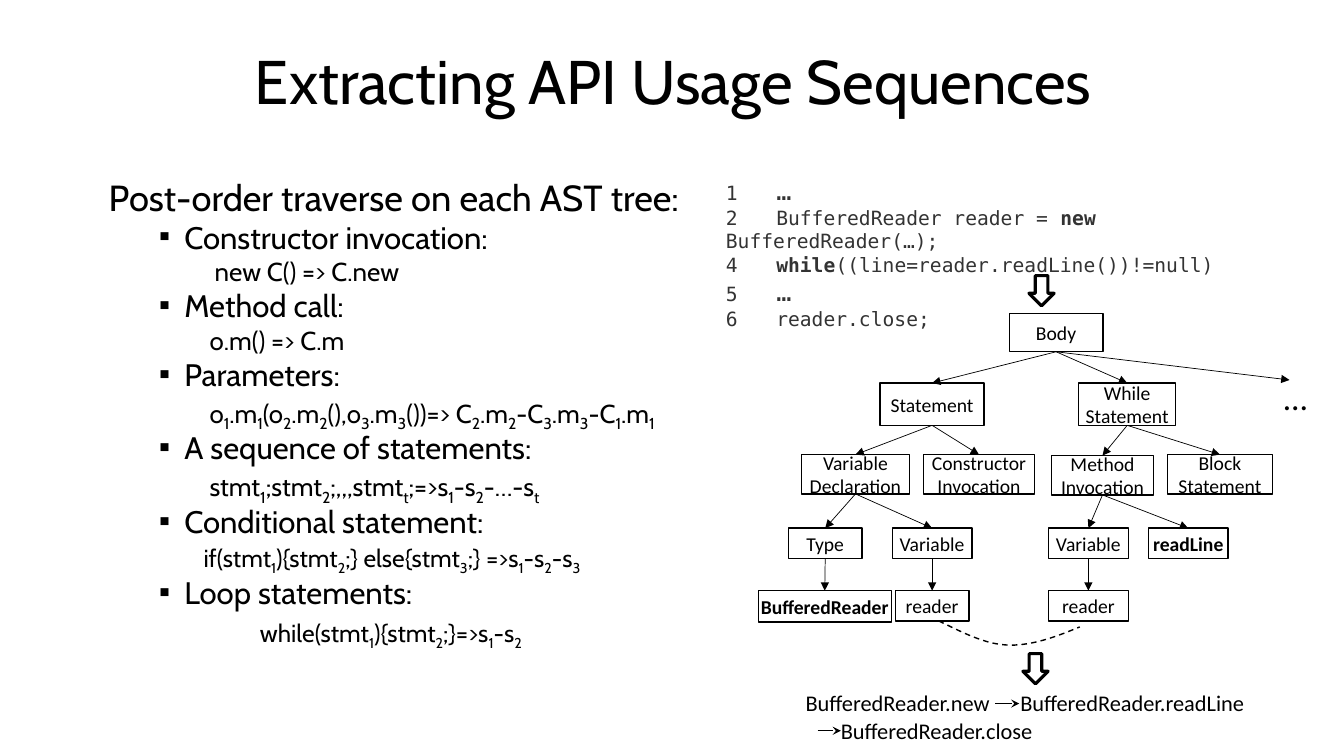
"""Build the slide on extracting API usage sequences from syntax trees."""
from dataclasses import dataclass

from pptx import Presentation
from pptx.dml.color import RGBColor
from pptx.enum.dml import MSO_LINE
from pptx.enum.shapes import MSO_CONNECTOR, MSO_SHAPE
from pptx.enum.text import MSO_ANCHOR, PP_ALIGN
from pptx.oxml.ns import qn
from pptx.oxml.xmlchemy import OxmlElement
from pptx.util import Pt

PX = 9144
RECT, ARROW = MSO_SHAPE.RECTANGLE, MSO_SHAPE.RIGHT_ARROW
STRAIGHT, DASH = MSO_CONNECTOR.STRAIGHT, MSO_LINE.DASH
TOP, MIDDLE = MSO_ANCHOR.TOP, MSO_ANCHOR.MIDDLE
LEFT, CENTER = PP_ALIGN.LEFT, PP_ALIGN.CENTER
TOP_SITE, BOTTOM_SITE = 0, 2


@dataclass(frozen=True)
class Theme:
    ink: RGBColor = RGBColor(0, 0, 0)
    code_ink: RGBColor = RGBColor(0x33, 0x33, 0x33)
    paper: RGBColor = RGBColor(255, 255, 255)
    head_font: str = "Cabin"
    node_font: str = "Calibri"
    code_font: str = "DejaVu Sans Mono"
    title: float = 44
    lead: float = 25.9
    topic: float = 22.2
    rule: float = 18.5
    rule_sub: float = 19.4
    small_rule: float = 17.6
    node: float = 14
    code_dots: float = 18
    result: float = 16
    dots: float = 24


T = Theme()


@dataclass(frozen=True)
class Run:
    text: str
    size: float
    bold: bool = False
    sub: bool = False


@dataclass(frozen=True)
class Para:
    runs: list[Run]
    level: int = 0
    margin: int = 0
    hang: int = 0
    before: float = 0
    spacing: float = 1.0
    bullet: str = ""
    tab: int = 0
    align: PP_ALIGN = LEFT


@dataclass(frozen=True)
class Node:
    key: str
    text: str
    box: tuple[int, int, int, int]
    parent: str = ""
    bold: bool = False


NODES = [
    Node("body", "Body", (1001, 311, 93, 38)),
    Node("stmt", "Statement", (873, 380, 103, 42), "body"),
    Node("while", "While Statement", (1070, 380, 96, 42), "body"),
    Node("decl", "Variable Declaration", (795, 451, 107, 39), "stmt"),
    Node("ctor", "Constructor Invocation", (916, 451, 110, 39), "stmt"),
    Node("call", "Method Invocation", (1043, 452, 101, 39), "while"),
    Node("block", "Block Statement", (1158, 451, 104, 39), "while"),
    Node("type", "Type", (782, 524, 73, 30), "decl"),
    Node("var1", "Variable", (885, 524, 79, 30), "decl"),
    Node("var2", "Variable", (1040, 524, 79, 30), "call"),
    Node("readLine", "readLine", (1139, 524, 79, 30), "call", True),
    Node("class", "BufferedReader", (752, 586, 132, 31), "type", True),
    Node("reader1", "reader", (888, 586, 73, 30), "var1"),
    Node("reader2", "reader", (1040, 586, 79, 30), "var2"),
]
RULES = [
    ("Constructor invocation:", "new C() => C.new", 105),
    ("Method call:", "o.m() => C.m", 100),
    ("Parameters:", "o_1.m_1(o_2.m_2(),o_3.m_3())=> C_2.m_2-C_3.m_3-C_1.m_1", 100),
    ("A sequence of statements:", "stmt_1;stmt_2;,,,stmt_t;=>s_1-s_2-…-s_t", 100),
]
SMALL_RULES = [
    ("Conditional statement:", "if(stmt_1){stmt_2;} else{stmt_3;} =>s_1-s_2-s_3", 94, 5),
    ("Loop statements:", "while(stmt_1){stmt_2;}=>s_1-s_2", 150, 8),
]
CODE = [
    [("1\t", False), ("…", False)],
    [("2\tBufferedReader reader = ", False), ("new ", True), ("BufferedReader(…);", False)],
    [("4\t", False), ("while", True), ("((line=reader.readLine())!=null)", False)],
    [("5\t", False), ("…", False)],
    [("6\treader.close;", False)],
]
CALLS = [
    ("BufferedReader.new", (799, 684, 185, 27)),
    ("BufferedReader.readLine", (1012, 684, 254, 27)),
    ("BufferedReader.close", (834, 711, 254, 27)),
]
CURVE = [
    [(931, 616), (954, 627), (976, 639), (999, 640)],
    [(999, 640), (1023, 641), (1047, 632), (1071, 622)],
]


def assign(target, values: dict) -> None:
    for name, value in values.items():
        setattr(target, name, value)


def add_child(parent, tag: str, **attrs: str):
    child = OxmlElement(tag)
    for name, value in attrs.items():
        child.set(name, value)
    parent.append(child)
    return child


def formula(text: str, size: float, sub_size: float) -> list[Run]:
    first, *rest = text.split("_")
    runs = [Run(first, size)]
    for part in rest:
        runs.append(Run(part[0], sub_size, sub=True))
        if part[1:]:
            runs.append(Run(part[1:], size))
    return runs


def fill_text(tf, paras: list[Para], font: str, ink: RGBColor,
              anchor: MSO_ANCHOR = TOP, inset: tuple[int, int] = (0, 0)) -> None:
    x, y = (n * PX for n in inset)
    assign(tf, dict(word_wrap=True, vertical_anchor=anchor, margin_left=x,
                    margin_right=x, margin_top=y, margin_bottom=y))
    for i, para in enumerate(paras):
        p = tf.add_paragraph() if i else tf.paragraphs[0]
        assign(p, dict(level=para.level, alignment=para.align,
                       line_spacing=para.spacing, space_before=Pt(para.before)))
        pPr = p._p.get_or_add_pPr()
        pPr.set("marL", str(para.margin * PX))
        pPr.set("indent", str(para.hang * PX))
        if para.bullet:
            add_child(pPr, "a:buFont", typeface=T.node_font)
            add_child(pPr, "a:buChar", char=para.bullet)
        else:
            add_child(pPr, "a:buNone")
        if para.tab:
            tabs = add_child(pPr, "a:tabLst")
            add_child(tabs, "a:tab", pos=str(para.tab * PX), algn="l")
        for run in para.runs:
            r = p.add_run()
            r.text = run.text
            assign(r.font, dict(name=font, size=Pt(run.size), bold=run.bold))
            r.font.color.rgb = ink
            if run.sub:
                r._r.get_or_add_rPr().set("baseline", "-25000")


def add_text(shapes, box: tuple[int, ...], paras: list[Para], font: str, ink: RGBColor,
             anchor: MSO_ANCHOR = TOP, inset: tuple[int, int] = (0, 0)) -> None:
    tb = shapes.add_textbox(*(n * PX for n in box))
    fill_text(tb.text_frame, paras, font, ink, anchor, inset)


def outline(sp, width: float) -> None:
    sp.shadow.inherit = False
    sp.line.color.rgb = T.ink
    sp.line.width = Pt(width)


def add_node(shapes, node: Node):
    sp = shapes.add_shape(RECT, *(n * PX for n in node.box))
    sp.fill.background()
    outline(sp, 1)
    para = Para([Run(node.text, T.node, node.bold)], align=CENTER)
    fill_text(sp.text_frame, [para], T.node_font, T.ink, MIDDLE)
    return sp


def add_arrow(shapes, ends: tuple[int, int, int, int], head: str):
    c = shapes.add_connector(STRAIGHT, *(n * PX for n in ends))
    c.line.color.rgb = T.ink
    c.line.width = Pt(0.5)
    spPr = c._element.spPr
    add_child(spPr.find(qn("a:ln")), "a:tailEnd", type=head)
    add_child(spPr, "a:effectLst")
    return c


def add_tree(shapes) -> None:
    boxes = {node.key: add_node(shapes, node) for node in NODES}
    for node in NODES:
        if node.parent:
            c = add_arrow(shapes, (0, 0, 0, 0), "triangle")
            c.begin_connect(boxes[node.parent], BOTTOM_SITE)
            c.end_connect(boxes[node.key], TOP_SITE)
    c = add_arrow(shapes, (1047, 349, 1279, 377), "triangle")
    c.begin_connect(boxes["body"], BOTTOM_SITE)
    dots = Para([Run("…", T.dots)], align=CENTER)
    add_text(shapes, (1265, 382, 40, 24), [dots], T.node_font, T.ink, MIDDLE)


def add_curve(shapes, steps: int = 10) -> None:
    points = []
    for curve in CURVE:
        for t in (i / steps for i in range(steps + 1)):
            weights = ((1 - t) ** 3, 3 * t * (1 - t) ** 2, 3 * t * t * (1 - t), t ** 3)
            points.append(tuple(sum(w * n * PX for w, n in zip(weights, axis))
                                for axis in zip(*curve)))
    builder = shapes.build_freeform(*points[0], scale=1.0)
    builder.add_line_segments(points[1:], close=False)
    sp = builder.convert_to_shape()
    sp.fill.background()
    outline(sp, 1)
    sp.line.dash_style = DASH


def add_down_arrow(shapes, x: int, y: int) -> None:
    sp = shapes.add_shape(ARROW, x * PX, y * PX, 30 * PX, 25 * PX)
    sp.rotation = 90
    sp.fill.solid()
    sp.fill.fore_color.rgb = T.paper
    outline(sp, 2.25)


def rule_paras() -> list[Para]:
    paras = [Para([Run("Post-order traverse on each AST tree:", T.lead)], before=10, spacing=0.8)]
    rows = [(topic, formula(text, T.rule, T.rule_sub), 2, margin, 5)
            for topic, text, margin in RULES]
    rows += [(topic, formula(text, T.small_rule, T.small_rule), 1, margin, before)
             for topic, text, margin, before in SMALL_RULES]
    for topic, runs, level, margin, before in rows:
        paras.append(Para([Run(topic, T.topic)], 1, 75, -25, 5, 0.8, "▪"))
        paras.append(Para(runs, level, margin, 0, before, 0.8))
    return paras


def main() -> None:
    prs = Presentation()
    assign(prs, dict(slide_width=1333 * PX, slide_height=750 * PX))
    shapes = prs.slides.add_slide(prs.slide_layouts[5]).shapes
    title = shapes.title
    assign(title, dict(left=93 * PX, top=11 * PX, width=1150 * PX, height=145 * PX))
    heading = Para([Run("Extracting API Usage Sequences", T.title)], spacing=0.9, align=CENTER)
    fill_text(title.text_frame, [heading], T.head_font, T.ink, MIDDLE, (10, 5))
    add_text(shapes, (98, 177, 602, 490), rule_paras(), T.head_font, T.ink, inset=(10, 5))
    code = [Para([Run(text, T.code_dots if text == "…" else T.node, bold)
                  for text, bold in line], tab=50) for line in CODE]
    add_text(shapes, (720, 174, 564, 150), code, T.code_font, T.code_ink)
    add_tree(shapes)
    add_curve(shapes)
    for x, y in ((1018, 276), (1012, 651)):
        add_down_arrow(shapes, x, y)
    for text, box in CALLS:
        add_text(shapes, box, [Para([Run(text, T.result)])], T.node_font, T.ink)
    for ends in ((987, 698, 1011, 698), (811, 725, 834, 725)):
        add_arrow(shapes, ends, "stealth")
    prs.save("out.pptx")


if __name__ == "__main__":
    main()
